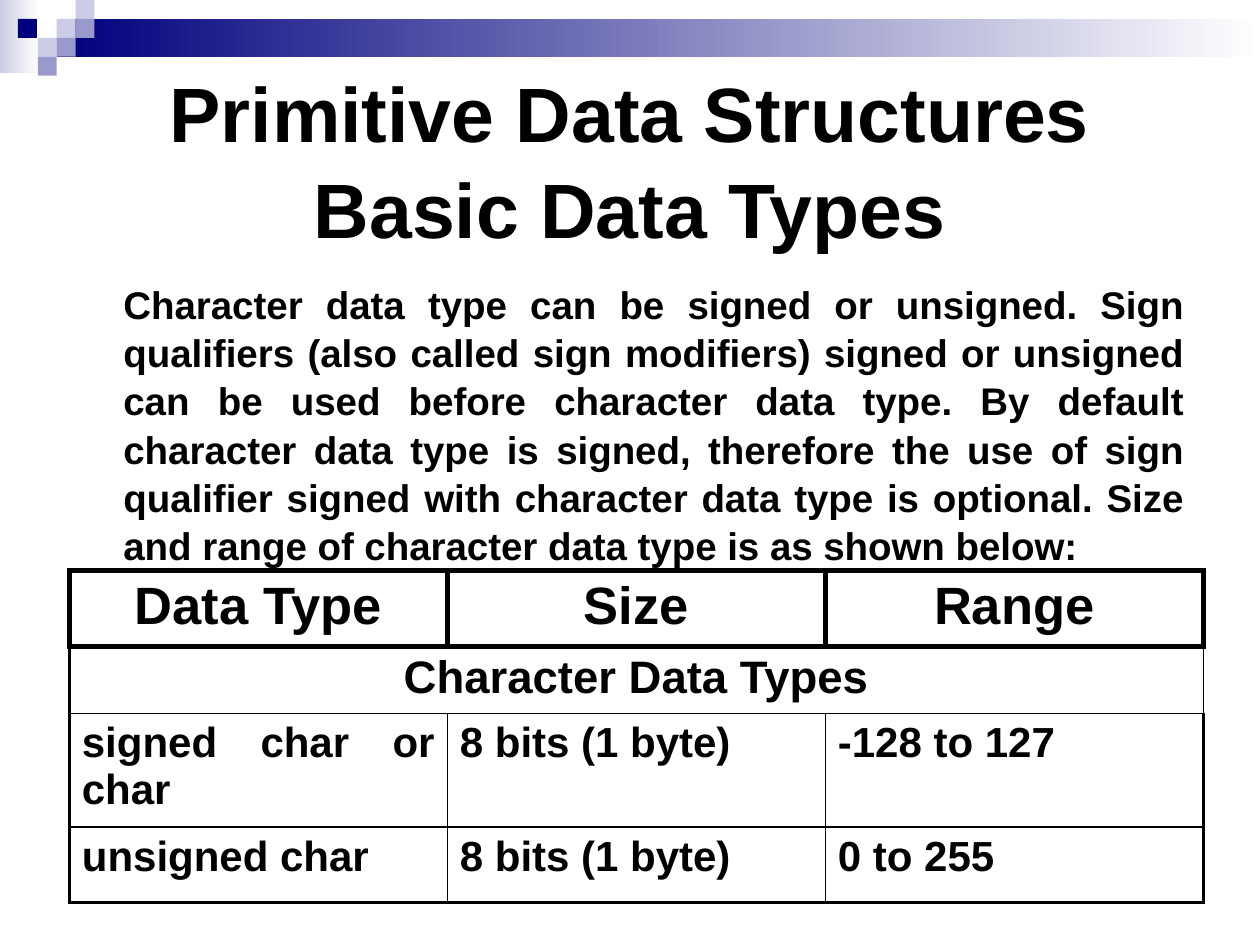
from dataclasses import dataclass

from lxml.etree import SubElement
from pptx import Presentation
from pptx.dml.color import RGBColor
from pptx.enum.shapes import MSO_SHAPE as Shape
from pptx.enum.text import MSO_ANCHOR as Anchor, PP_ALIGN as Align
from pptx.oxml.ns import qn
from pptx.util import Emu, Inches, Pt

BLACK = RGBColor(0x00, 0x00, 0x00)
WHITE = RGBColor(0xFF, 0xFF, 0xFF)
NAVY = RGBColor(0x00, 0x00, 0x7D)
LILAC = RGBColor(0xCC, 0xCC, 0xE6)
VIOLET = RGBColor(0x99, 0x99, 0xCC)
FONT = "Arial"
UNIT = 0.15  # side of one decorative square, inches


@dataclass(frozen=True)
class Tile:
    """Rectangle on the grid of decorative squares."""
    col: float
    row: float
    color: RGBColor
    cols: float = 1
    rows: float = 1
    fades: bool = False


@dataclass(frozen=True)
class RowStyle:
    height: float
    size: int
    align: Align
    texts: tuple[str, ...]


TILES = (
    Tile(0, 0, LILAC, 2.07, 3.87, fades=True),
    Tile(3, 1, NAVY, 63.67, 2, fades=True),
    Tile(3, 1, LILAC),
    Tile(4, 0, LILAC),
    Tile(4, 1, VIOLET),
    Tile(2, 2, LILAC),
    Tile(0.95, 1, NAVY),
    Tile(3, 2, VIOLET),
    Tile(2, 3, VIOLET),
)
ROWS = (
    RowStyle(0.58, 30, Align.CENTER, ("Data Type", "Size", "Range")),
    RowStyle(0.53, 26, Align.CENTER, ("Character Data Types",)),
    RowStyle(0.85, 24, Align.JUSTIFY,
             ("signed char or char", "8 bits (1 byte)", "-128 to 127")),
    RowStyle(0.6, 24, Align.JUSTIFY,
             ("unsigned char", "8 bits (1 byte)", "0 to 255")),
)
COLS = 3
TITLE = ("Primitive Data Structures", "Basic Data Types")
BODY = (
    "Character data type can be signed or unsigned. Sign qualifiers (also "
    "called sign modifiers) signed or unsigned can be used before character "
    "data type. By default character data type is signed, therefore the use "
    "of sign qualifier signed with character data type is optional. Size and "
    "range of character data type is as shown below:"
)


def add_tile(s, tile: Tile) -> None:
    box = (tile.col, tile.row, tile.cols, tile.rows)
    sp = s.shapes.add_shape(Shape.RECTANGLE, *(Inches(v * UNIT) for v in box))
    sp.shadow.inherit = False
    sp.line.fill.background()
    if tile.fades:
        sp.fill.gradient()
        sp.fill.gradient_angle = 0
        for stop, color in zip(sp.fill.gradient_stops, (tile.color, WHITE)):
            stop.color.rgb = color
    else:
        sp.fill.solid()
        sp.fill.fore_color.rgb = tile.color


def write(p, lines: tuple[str, ...], size: int, align: Align) -> None:
    p.alignment = align
    for i, line in enumerate(lines):
        if i:
            p.add_line_break()
        r = p.add_run()
        r.text = line
        r.font.name, r.font.size, r.font.bold = FONT, Pt(size), True
        r.font.color.rgb = BLACK


def add_text(s, top: float, height: float, lines: tuple[str, ...], size: int,
             align: Align, anchor: Anchor, indent: float = 0) -> None:
    sp = s.shapes.add_textbox(Inches(0.5), Inches(top), Inches(9), Inches(height))
    tf = sp.text_frame
    tf.word_wrap = True
    tf.vertical_anchor = anchor
    tf.margin_left = Inches(0.1 + indent)
    p = tf.paragraphs[0]
    p.line_spacing = 1.04
    write(p, lines, size, align)


def set_border(cell, side: str, width: float) -> None:
    tc_pr = cell._tc.get_or_add_tcPr()
    ln = SubElement(tc_pr, qn(f"a:ln{side}"), w=str(Pt(width)))
    fill = SubElement(ln, qn("a:solidFill"))
    SubElement(fill, qn("a:srgbClr"), val=str(BLACK))


def border_widths(row: int, col: int) -> dict[str, float]:
    """Heavy header, medium outer frame, thin inner lines."""
    if row == 0:
        return dict.fromkeys("LRTB", 3)
    return {
        "L": 2.25 if col == 0 else 1,
        "R": 2.25 if col == COLS - 1 else 1,
        "T": 3 if row == 1 else 1,
        "B": 2.25 if row == len(ROWS) - 1 else 1,
    }


def add_types_table(s) -> None:
    height = Inches(sum(row.height for row in ROWS))
    frame = s.shapes.add_table(len(ROWS), COLS, Inches(0.55), Inches(4.53),
                               Inches(9), height)
    table = frame.table
    table.first_row = table.horz_banding = False
    for i, row in enumerate(ROWS):
        table.rows[i].height = Inches(row.height)
        for j in range(COLS):
            cell = table.cell(i, j)
            for side, width in border_widths(i, j).items():
                set_border(cell, side, width)
            cell.fill.background()
        if len(row.texts) == 1:
            table.cell(i, 0).merge(table.cell(i, COLS - 1))
        for j, text in enumerate(row.texts):
            p = table.cell(i, j).text_frame.paragraphs[0]
            write(p, (text,), row.size, row.align)


prs = Presentation()
prs.slide_width, prs.slide_height = Emu(Inches(10)), Emu(Inches(7.5))
s = prs.slides.add_slide(prs.slide_layouts[6])

# Decorative band
for tile in TILES:
    add_tile(s, tile)

# Title and explanation
add_text(s, 0.5, 1.5, TITLE, 44, Align.CENTER, Anchor.MIDDLE)
add_text(s, 2.17, 2.42, (BODY,), 22, Align.JUSTIFY, Anchor.TOP, indent=0.38)

# Sizes and ranges
add_types_table(s)

prs.save("out.pptx")
